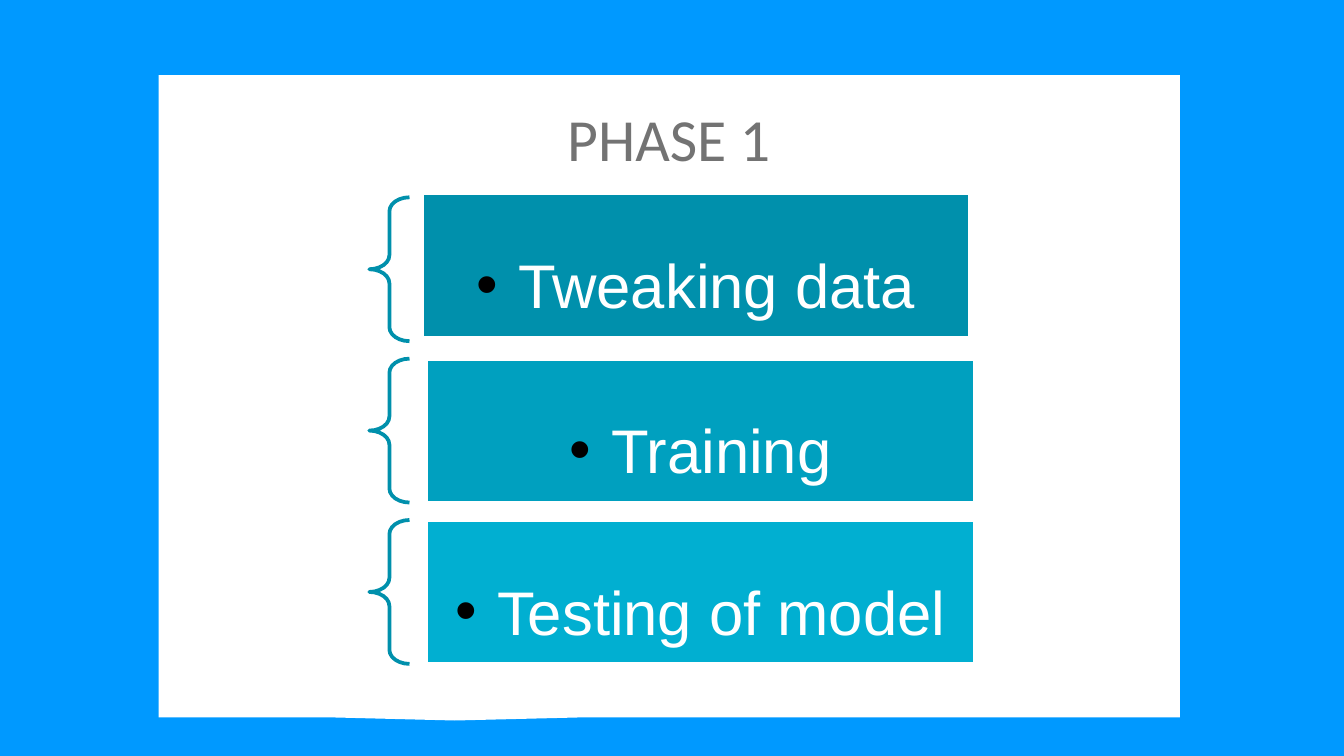
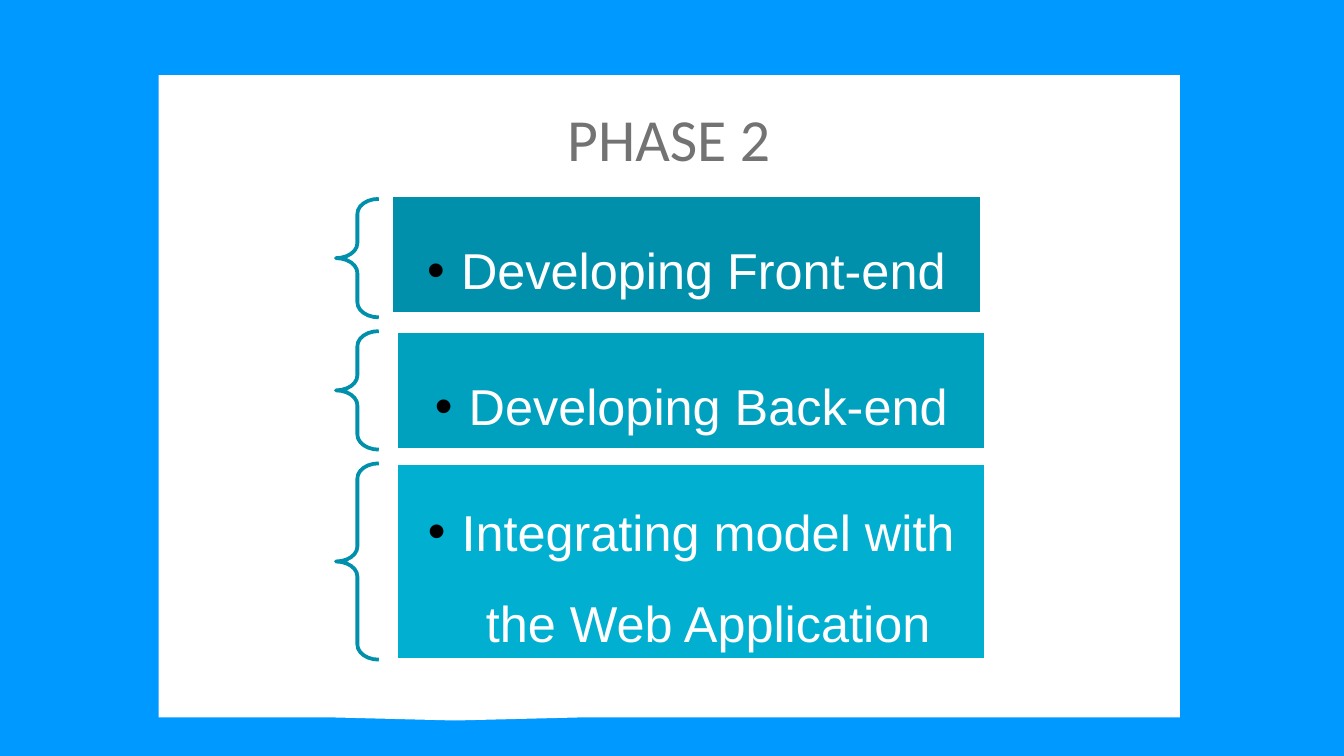
"""Build two project phase slides with bracketed step bars."""
from dataclasses import dataclass

from lxml import etree
from pptx import Presentation
from pptx.dml.color import RGBColor
from pptx.enum.shapes import MSO_SHAPE
from pptx.enum.text import MSO_ANCHOR, MSO_AUTO_SIZE, PP_ALIGN
from pptx.oxml.ns import qn
from pptx.util import Cm, Pt

CALLOUT = MSO_SHAPE.RECTANGULAR_CALLOUT
BRACE = MSO_SHAPE.LEFT_BRACE
RECT = MSO_SHAPE.RECTANGLE
CENTER = PP_ALIGN.CENTER
TOP, MIDDLE = MSO_ANCHOR.TOP, MSO_ANCHOR.MIDDLE
GROW = MSO_AUTO_SIZE.SHAPE_TO_FIT_TEXT

BLUE = RGBColor(0x00, 0x99, 0xFF)
WHITE = RGBColor(0xFF, 0xFF, 0xFF)
BLACK = RGBColor(0x00, 0x00, 0x00)
GRAY = RGBColor(0x73, 0x73, 0x73)
TEAL = RGBColor(0x00, 0x90, 0xAC)
BAR_COLORS = (TEAL, RGBColor(0x00, 0xA0, 0xBF), RGBColor(0x01, 0xAF, 0xD1))

LEAD_DX = 0.09
LEAD_DY = 0.07


@dataclass(frozen=True)
class Step:
    """One bar with its label and height in centimetres."""

    label: str
    height: float


@dataclass(frozen=True)
class Phase:
    """One slide: its title, steps and measures in centimetres and points."""

    title: str
    steps: tuple[Step, ...]
    top: float
    gap: float
    brace_left: float
    brace_width: float
    bar_left: float
    bar_width: float
    inset: float
    indent: float
    size: int


PHASES = (
    Phase("PHASE 1",
          (Step("Tweaking data", 2.72), Step("Training", 2.72),
           Step("Testing of model", 2.72)),
          top=3.73, gap=0.33, brace_left=6.98, brace_width=0.76,
          bar_left=8.06, bar_width=10.36, inset=0.36, indent=0.79, size=33),
    Phase("PHASE 2",
          (Step("Developing Front-end", 2.24), Step("Developing Back-end", 2.24),
           Step("Integrating model with the Web Application", 3.71)),
          top=3.76, gap=0.26, brace_left=6.35, brace_width=0.81,
          bar_left=7.49, bar_width=11.15, inset=0.28, indent=0.64, size=27),
)


def add_bullet(p, indent: float) -> None:
    """Give a paragraph a hanging black bullet and proportional space after."""
    p.level = 1
    p.line_spacing = 1.5
    pPr = p._p.get_or_add_pPr()
    pPr.set("marL", str(Cm(indent)))
    pPr.set("indent", str(-Cm(indent)))
    after = etree.SubElement(pPr, qn("a:spcAft"))
    etree.SubElement(after, qn("a:spcPct"), val="15000")
    color = etree.SubElement(pPr, qn("a:buClr"))
    etree.SubElement(color, qn("a:srgbClr"), val=str(BLACK))
    etree.SubElement(pPr, qn("a:buFont"), typeface="Arial")
    etree.SubElement(pPr, qn("a:buChar"), char="•")


def set_text(sp, text: str, *, font: str, size: int, color: RGBColor,
             anchor=MIDDLE, inset: float | None = None,
             indent: float | None = None) -> None:
    """Write one centred paragraph into a shape."""
    tf = sp.text_frame
    tf.word_wrap = True
    tf.vertical_anchor = anchor
    if inset is not None:
        tf.margin_left = tf.margin_right = Cm(inset)
        tf.margin_top = tf.margin_bottom = Cm(inset)
    p = tf.paragraphs[0]
    p.alignment = CENTER
    if indent is not None:
        add_bullet(p, indent)
    r = p.add_run()
    r.text = text
    r.font.name = font
    r.font.size = Pt(size)
    r.font.color.rgb = color


def add_shape(s, kind, left: float, top: float, width: float, height: float, *,
              fill: RGBColor | None = None, line: RGBColor | None = None,
              adjust: tuple[float, ...] = ()):
    """Add a flat preset shape, measured in centimetres."""
    sp = s.shapes.add_shape(kind, Cm(left), Cm(top), Cm(width), Cm(height))
    sp.shadow.inherit = False
    if fill is None:
        sp.fill.background()
    else:
        sp.fill.solid()
        sp.fill.fore_color.rgb = fill
    if line is None:
        sp.line.fill.background()
    else:
        sp.line.color.rgb = line
        sp.line.width = Pt(2)
    for i, value in enumerate(adjust):
        sp.adjustments[i] = value
    return sp


def add_title(s, text: str) -> None:
    """Place the slide title in front of the white panel."""
    sp = s.shapes.title
    sp.left, sp.top, sp.width, sp.height = Cm(7.04), Cm(1.8), Cm(11.2), Cm(1.63)
    set_text(sp, text, font="Calibri", size=32, color=GRAY, anchor=TOP)
    sp.text_frame.auto_size = GROW
    s.shapes._spTree.append(sp._element)


def add_steps(s, phase: Phase) -> None:
    """Stack the braces and bars, the first bar slightly up and left."""
    top = phase.top
    for i, (step, color) in enumerate(zip(phase.steps, BAR_COLORS)):
        dx, dy = (LEAD_DX, LEAD_DY) if i == 0 else (0, 0)
        add_shape(s, BRACE, phase.brace_left, top, phase.brace_width, step.height,
                  line=TEAL, adjust=(0.35, 0.5))
        bar = add_shape(s, RECT, phase.bar_left - dx, top - dy, phase.bar_width,
                        step.height, fill=color, line=WHITE)
        set_text(bar, step.label, font="Arial", size=phase.size, color=WHITE,
                 inset=phase.inset, indent=phase.indent)
        top += step.height + phase.gap


def add_phase(prs, phase: Phase) -> None:
    """Add the slide of one phase."""
    s = prs.slides.add_slide(prs.slide_layouts[5])
    add_shape(s, CALLOUT, 3, 1.42, 19.3, 12.14, fill=WHITE, adjust=(-0.21, 0.505))
    add_steps(s, phase)
    add_title(s, phase.title)


def main() -> None:
    """Build and save the presentation."""
    prs = Presentation()
    prs.slide_width, prs.slide_height = Cm(25.4), Cm(14.29)
    fill = prs.slide_master.background.fill
    fill.solid()
    fill.fore_color.rgb = BLUE
    for phase in PHASES:
        add_phase(prs, phase)
    prs.save("out.pptx")


if __name__ == "__main__":
    main()
